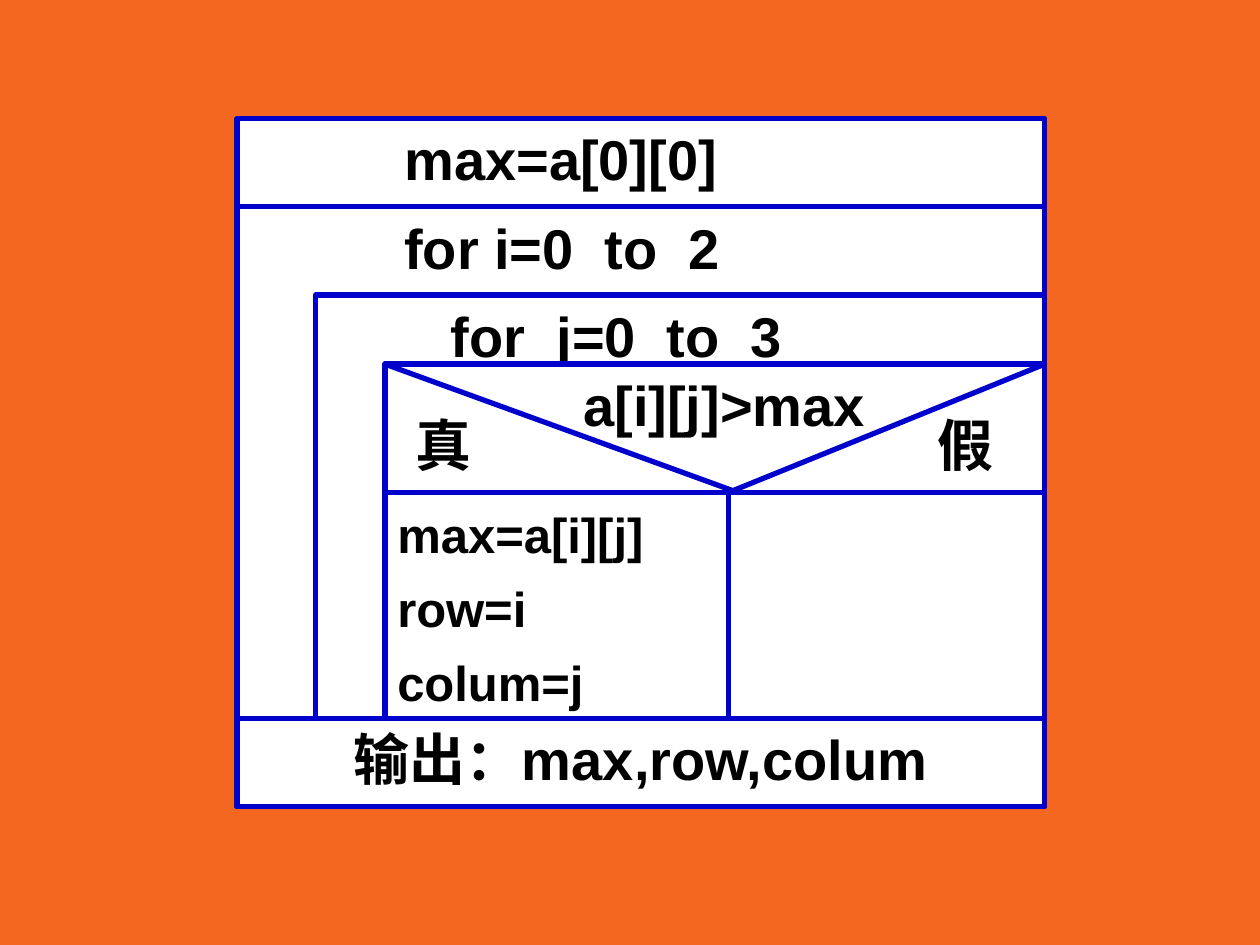
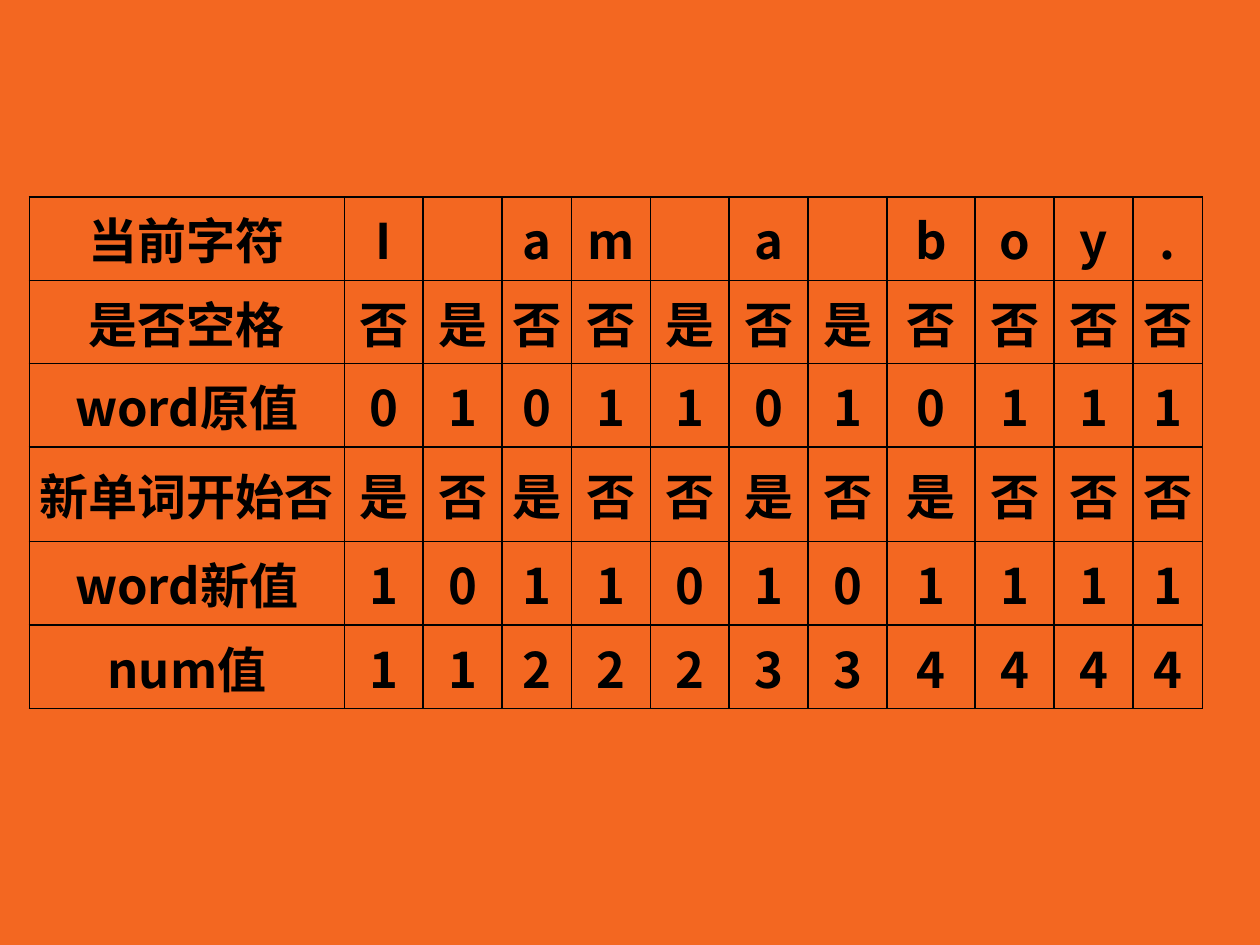
from pptx import Presentation
from pptx.dml.color import RGBColor
from pptx.enum.shapes import MSO_CONNECTOR as Link, MSO_SHAPE as Shape
from pptx.enum.text import MSO_ANCHOR as Anchor, PP_ALIGN as Align
from pptx.oxml.ns import qn
from pptx.util import Cm, Pt
from lxml.etree import SubElement as sub

BACK, BLUE, WHITE, BLACK = "F36721", "0000CC", "FFFFFF", "000000"
SANS, SERIF, HAN = "Arial", "Times New Roman", "Noto Sans CJK SC"


def tint(code):
    return RGBColor.from_string(code)


def write(frame, text, size=32, font=SANS, align=Align.LEFT, lead=None, after=None):
    """Fill a text frame, one paragraph for each line of text."""
    for k, line in enumerate(text.split("\n")):
        para = frame.paragraphs[0] if k == 0 else frame.add_paragraph()
        para.alignment = align
        if lead:
            para.line_spacing = lead
        if after:
            para.space_after = Pt(after)
        run = para.add_run()
        run.text = line
        run.font.size, run.font.bold, run.font.name = Pt(size), True, font
        run.font.color.rgb = tint(BLACK)
        sub(run.font._element, qn("a:ea"), typeface=HAN)


def stroke(line):
    line.color.rgb = tint(BLUE)
    line.width = Pt(3)


def add_box(group, x, y, w, h, text, left=0.25, top=0.13, kind=Shape.FLOWCHART_PROCESS,
            plain=False, **form):
    """Add a framed white box, or bare text if plain."""
    box = group.shapes.add_shape(kind, Cm(x), Cm(y), Cm(w), Cm(h))
    box.shadow.inherit = False
    if plain:
        box.fill.background()
        box.line.fill.background()
    else:
        box.fill.solid()
        box.fill.fore_color.rgb = tint(WHITE)
        stroke(box.line)
    frame = box.text_frame
    frame.word_wrap = False
    frame.vertical_anchor = Anchor.TOP
    frame.margin_left, frame.margin_top = Cm(left), Cm(top)
    write(frame, text, **form)


def add_line(group, x1, y1, x2, y2):
    line = group.shapes.add_connector(Link.STRAIGHT, Cm(x1), Cm(y1), Cm(x2), Cm(y2))
    stroke(line.line)
    sub(line._element.spPr, qn("a:effectLst"))


def draw_flow(slide, x, y, w, h):
    """Draw the nested loop chart in the given box."""
    group = slide.shapes.add_group_shape()
    row = 1.78
    right, end = x + w, y + h - row
    outer, inner, test = y + row, y + 2 * row, y + 4.95
    body = test + 2.59
    near, deep, split = x + 1.58, x + 2.98, x + 9.9

    add_box(group, x, outer, w, h - row, "for i=0  to  2", left=3.37)
    add_box(group, near, inner, right - near, end - inner, "for  j=0  to  3",
            left=2.73, kind=Shape.RECTANGLE)
    add_box(group, deep, test, right - deep, end - test, "max=a[i][j]\nrow=i\ncolum=j",
            top=body - test, size=28, lead=1.2, after=2)
    add_box(group, x + 6.73, test, 6.55, row, "a[i][j]>max", plain=True)
    for gap, word in ((3.35, "真"), (13.86, "假")):
        add_box(group, x + gap, body - row, 1.98, row, word, plain=True)
    add_box(group, x, y, w, row, "max=a[0][0]", left=3.37)
    add_box(group, x, end, w, row, "输出：max,row,colum", align=Align.CENTER)

    add_line(group, deep, body, right, body)
    add_line(group, split, body, right, test)
    add_line(group, deep, test, split + 0.2, body)
    add_line(group, split, end, split, body)


def edge(cell):
    """Give a cell thin black borders on all sides."""
    props = cell._tc.get_or_add_tcPr()
    for k, side in enumerate(("lnL", "lnR", "lnT", "lnB")):
        line = props.makeelement(qn("a:" + side), {"w": str(Pt(1))})
        fill = sub(line, qn("a:solidFill"))
        sub(fill, qn("a:srgbClr"), val=BLACK)
        props.insert(k, line)


def draw_trace(slide, x, y):
    """Draw the word count table from its top left corner."""
    rows = (
        ("当前字符", "I am a boy."),
        ("是否空格", "否是否否是否是否否否否"),
        ("word原值", "01011010111"),
        ("新单词开始否", "是否是否否是否是否否否"),
        ("word新值", "10110101111"),
        ("num值", "11222334444"),
    )
    serif = {(3, c) for c in (4, 5, 9, 10, 11)}
    wide = [6.35] + [1.59] * 11
    wide[3] = wide[11] = 1.4
    wide[8] = 1.78
    tall = [1.68] * 6
    tall[3] = 1.91
    table = slide.shapes.add_table(len(tall), len(wide), Cm(x), Cm(y),
                                   Cm(sum(wide)), Cm(sum(tall))).table
    table.first_row = table.horz_banding = False
    for col, size in zip(table.columns, wide):
        col.width = Cm(size)
    for r, (head, marks) in enumerate(rows):
        table.rows[r].height = Cm(tall[r])
        for c, text in enumerate((head, *marks)):
            cell = table.cell(r, c)
            cell.fill.background()
            edge(cell)
            cell.vertical_anchor = Anchor.MIDDLE
            cell.margin_left = cell.margin_right = Cm(0.18)
            cell.margin_top = cell.margin_bottom = 0
            if text.strip():
                write(cell.text_frame, text, size=28, align=Align.CENTER,
                      font=SERIF if (r, c) in serif else HAN)


def add_slide(deck):
    slide = deck.slides.add_slide(deck.slide_layouts[6])
    fill = slide.background.fill
    fill.solid()
    fill.fore_color.rgb = tint(BACK)
    return slide


def main():
    deck = Presentation()
    deck.slide_width, deck.slide_height = Cm(25.4), Cm(19.05)
    draw_flow(add_slide(deck), 4.78, 2.39, 16.28, 13.87)
    draw_trace(add_slide(deck), 0.59, 3.97)
    deck.save("out.pptx")


if __name__ == "__main__":
    main()
